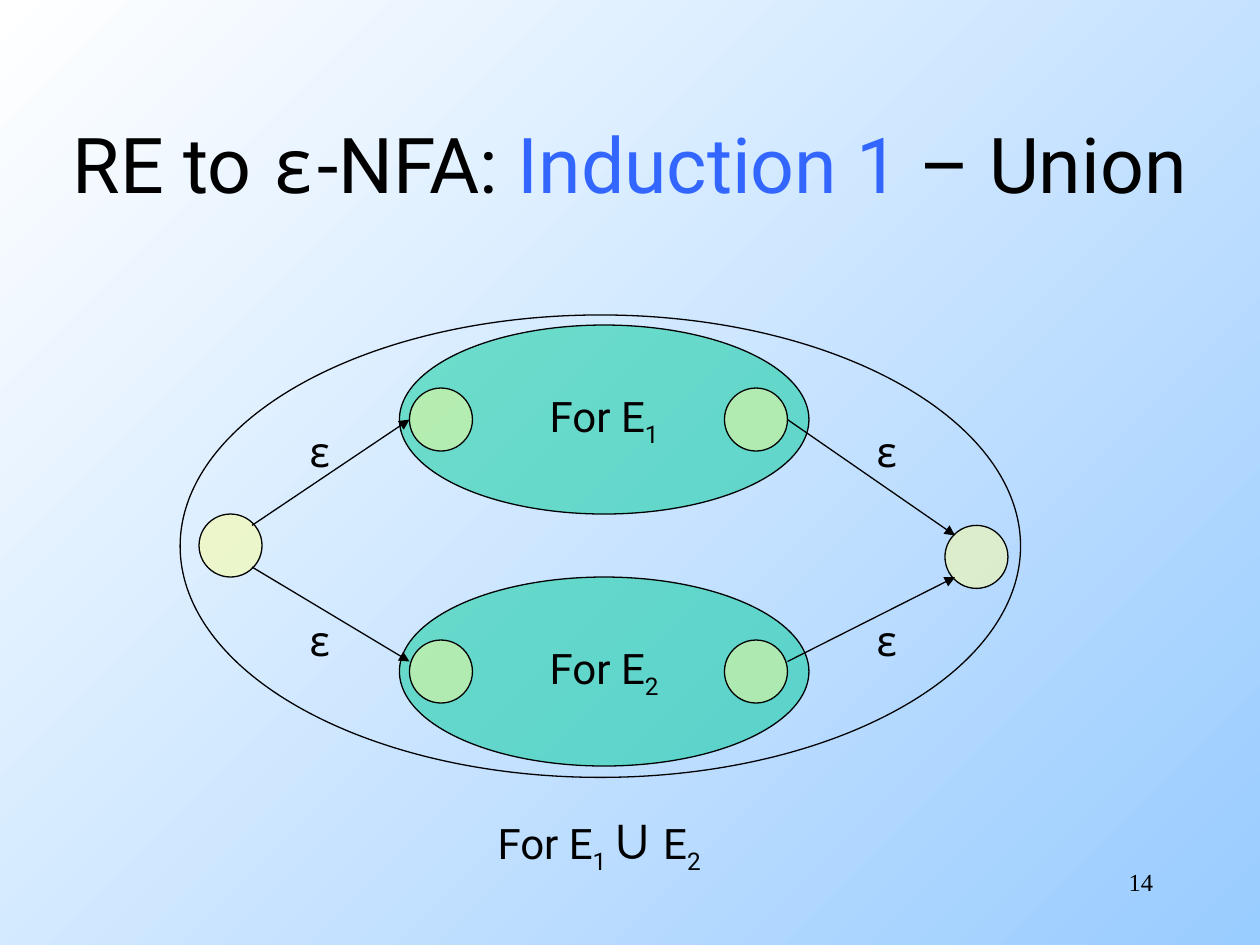
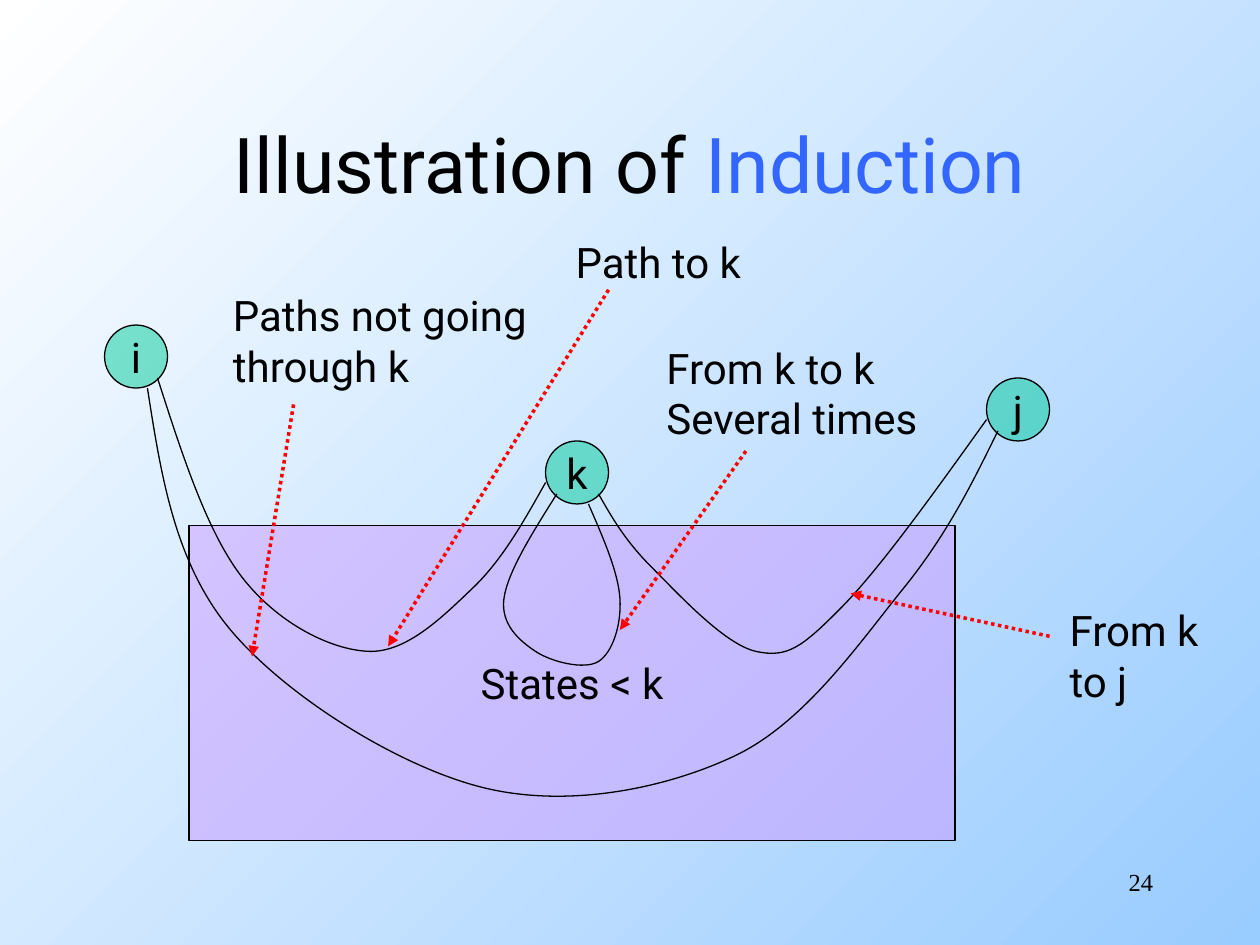
from pptx import Presentation
from pptx.dml.color import RGBColor
from pptx.enum.dml import MSO_LINE as Dash
from pptx.enum.shapes import MSO_CONNECTOR as Link, MSO_SHAPE as Shape
from pptx.enum.text import MSO_ANCHOR as Anchor, MSO_AUTO_SIZE as Fit, PP_ALIGN as Align
from pptx.oxml.ns import qn
from pptx.util import Inches, Pt
from lxml.etree import SubElement

BLACK, WHITE, RED = "000000", "FFFFFF", "FF0000"
SKY, ACCENT = "99CCFF", "3366FF"
GREEN, YELLOW, PURPLE = "00CC99", "FFFF99", "CC99FF"
BODY_FONT, GREEK_FONT = "Roboto", "Noto Sans Mono"
STATE = 0.5  # diameter of a state circle

# Run styles that differ from plain body text
SUB = {"baseline": -25000}
GREEK = {"font": GREEK_FONT}
BLUE = {"color": ACCENT}


def rgb(value):
    return RGBColor.from_string(value)


def inches(values):
    return [Inches(value) for value in values]


# ---- Text ----
def style_run(run, size=24, font=BODY_FONT, color=BLACK, baseline=None):
    run.font.size = Pt(size)
    run.font.name = font
    run.font.color.rgb = rgb(color)
    if baseline:
        run.font._element.set("baseline", str(baseline))


def write(frame, lines, align=Align.LEFT, **base):
    """Each line is a string or a list of (text, style) pairs."""
    for number, line in enumerate(lines):
        paragraph = frame.add_paragraph() if number else frame.paragraphs[0]
        paragraph.alignment = align
        for text, style in [(line, {})] if isinstance(line, str) else line:
            run = paragraph.add_run()
            run.text = text
            style_run(run, **{**base, **style})


def label(slide, box, *lines):
    frame = slide.shapes.add_textbox(*inches(box)).text_frame
    frame.word_wrap = False
    frame.auto_size = Fit.SHAPE_TO_FIT_TEXT
    write(frame, lines)


# ---- Shapes ----
def outline(shape):
    shape.shadow.inherit = False
    shape.line.color.rgb = rgb(BLACK)
    shape.line.width = Pt(0.75)


def region(slide, kind, box, color=None, text=None):
    """Outlined shape with a half-transparent fill and a centred caption."""
    shape = slide.shapes.add_shape(kind, *inches(box))
    outline(shape)
    if color:
        shape.fill.solid()
        shape.fill.fore_color.rgb = rgb(color)
        tint = shape.element.spPr.find(qn("a:solidFill")).find(qn("a:srgbClr"))
        SubElement(tint, qn("a:alpha")).set("val", "50000")
    else:
        shape.fill.background()
    if text:
        shape.text_frame.word_wrap = False
        shape.text_frame.vertical_anchor = Anchor.MIDDLE
        write(shape.text_frame, [text], Align.CENTER)


def state(slide, left, top, color, name=None):
    region(slide, Shape.OVAL, (left, top, STATE, STATE), color, name)


def arrow(slide, start, end, color=BLACK, width=0.75, dash=None):
    connector = slide.shapes.add_connector(Link.STRAIGHT, *inches(start + end))
    connector.line.color.rgb = rgb(color)
    connector.line.width = Pt(width)
    if dash:
        connector.line.dash_style = dash
    properties = connector.element.spPr
    SubElement(properties.find(qn("a:ln")), qn("a:tailEnd")).set("type", "triangle")
    SubElement(properties, qn("a:effectLst"))


def midpoint(a, b):
    return (a[0] + b[0]) / 2, (a[1] + b[1]) / 2


def bezier_points(stops):
    """Two control points and an end point for each span between stops."""
    pulls = [((c[0] - a[0]) / 6, (c[1] - a[1]) / 6) for a, c in zip(stops, stops[2:])]
    leaving = [(x + dx, y + dy) for (x, y), (dx, dy) in zip(stops[1:], pulls)]
    arriving = [(x - dx, y - dy) for (x, y), (dx, dy) in zip(stops[1:], pulls)]
    leaving.insert(0, midpoint(stops[0], arriving[0]))
    arriving.append(midpoint(leaving[-1], stops[-1]))
    return [point for span in zip(leaving, arriving, stops[1:]) for point in span]


def curve(slide, *stops):
    """Smooth open line through the stops."""
    builder = slide.shapes.build_freeform(*inches(stops[0]))
    builder.add_line_segments([inches(point) for point in bezier_points(stops)], close=False)
    shape = builder.convert_to_shape()
    outline(shape)
    shape.fill.background()
    segments = list(shape.element.iter(qn("a:lnTo")))
    for first in range(0, len(segments), 3):
        bend = SubElement(segments[first].getparent(), qn("a:cubicBezTo"))
        for segment in segments[first:first + 3]:
            bend.append(segment[0])
            segment.getparent().remove(segment)


# ---- Slide frame ----
def paint_background(prs):
    fill = prs.slide_master.background.fill
    fill.gradient()
    fill.gradient_angle = 135
    for stop, color in zip(fill.gradient_stops, (SKY, WHITE)):
        stop.color.rgb = rgb(color)
    fill.gradient_stops[0].position = 0
    fill.gradient_stops[1].position = 1


def new_slide(prs, number, title_runs, margin):
    slide = prs.slides.add_slide(prs.slide_layouts[5])
    title = slide.shapes.title
    title.left, title.top, title.width, title.height = inches(
        (margin, 0.67, 10 - 2 * margin, 1.25))
    title.text_frame.vertical_anchor = Anchor.MIDDLE
    title.text_frame.auto_size = Fit.NONE
    write(title.text_frame, [title_runs], Align.CENTER, size=44)

    page = slide.shapes.add_textbox(*inches((7.17, 6.83, 2.08, 0.5)))
    page.text_frame.word_wrap = True
    write(page.text_frame, [str(number)], Align.RIGHT, size=14, font="Times New Roman")
    return slide


# ---- Slides ----
def union_slide(prs):
    slide = new_slide(prs, 14, [("RE to ", {}), ("ε", GREEK), ("-NFA: ", {}),
                                ("Induction 1", BLUE), (" – Union", {})], margin=0)

    # Automata for the two operands
    for index, top in (("1", 2.58), ("2", 4.58)):
        region(slide, Shape.OVAL, (3.17, top, 3.25, 1.5), GREEN,
               [("For E", {}), (index, SUB)])
        for left in (5.75, 3.25):
            state(slide, left, top + 0.5, YELLOW)

    # Enclosing automaton
    region(slide, Shape.OVAL, (1.43, 2.5, 6.67, 3.67))
    label(slide, (3.85, 6.33, 1.92, 0.67),
          [("For E", {}), ("1 ", SUB), ("∪", {"size": 32, "font": "Arial"}),
           (" E", {}), ("2", SUB)])

    # New start and final states with their ε-moves
    state(slide, 1.58, 4.08, YELLOW)
    state(slide, 7.5, 4.17, YELLOW)
    for operand_y, start_y, final_y in ((3.33, 4.17, 4.25), (5.25, 4.5, 4.58)):
        arrow(slide, (2, start_y), (3.25, operand_y))
        arrow(slide, (6.25, operand_y), (7.58, final_y))
    for left in (2.34, 6.84):
        for top in (3.33, 4.83):
            label(slide, (left, top, 0.36, 0.5), [("ε", GREEK)])


def induction_slide(prs):
    slide = new_slide(prs, 24, [("Illustration of ", {}), ("Induction", BLUE)], margin=0.75)

    # Lower states and the three named states
    region(slide, Shape.RECTANGLE, (1.5, 4.17, 6.08, 2.5), PURPLE, "States < k")
    for name, left, top in (("k", 4.33, 3.5), ("i", 0.83, 2.58), ("j", 7.83, 3)):
        state(slide, left, top, GREEN, name)

    # Paths: i to j, i to k, k to k, k to j
    curve(slide, (1.17, 3.08), (1.83, 5), (3.83, 6.25), (5.83, 6), (7.17, 4.67), (7.92, 3.42))
    curve(slide, (1.25, 3), (1.92, 4.58), (2.92, 5.17), (3.75, 4.67), (4.33, 3.83))
    curve(slide, (4.42, 3.92), (4, 4.75), (4.25, 5.17), (4.75, 5.25), (4.92, 4.75), (4.67, 4))
    curve(slide, (4.75, 3.92), (5.17, 4.5), (6, 5.17), (6.67, 4.83), (7.83, 3.33))

    # Callouts with dotted pointers
    callouts = [
        ((1.75, 2.25, 2.68, 0.9), ("Paths not going", "through k"), (2.33, 3.21), (2, 5.21)),
        ((8.39, 4.75, 1.29, 0.9), ("From k", "to j"), (8.33, 5.05), (6.75, 4.71)),
        ((5.19, 2.67, 2.29, 0.9), ("From k to k", "Several times"), (5.92, 3.58), (4.92, 5)),
        ((4.47, 1.83, 1.59, 0.5), ("Path to k",), (4.83, 2.3), (3.08, 5.13)),
    ]
    for box, lines, start, end in callouts:
        label(slide, box, *lines)
        arrow(slide, start, end, RED, 2, Dash.ROUND_DOT)


def main():
    prs = Presentation()
    prs.slide_width, prs.slide_height = inches((10, 7.5))
    paint_background(prs)
    union_slide(prs)
    induction_slide(prs)
    prs.save("out.pptx")


if __name__ == "__main__":
    main()
